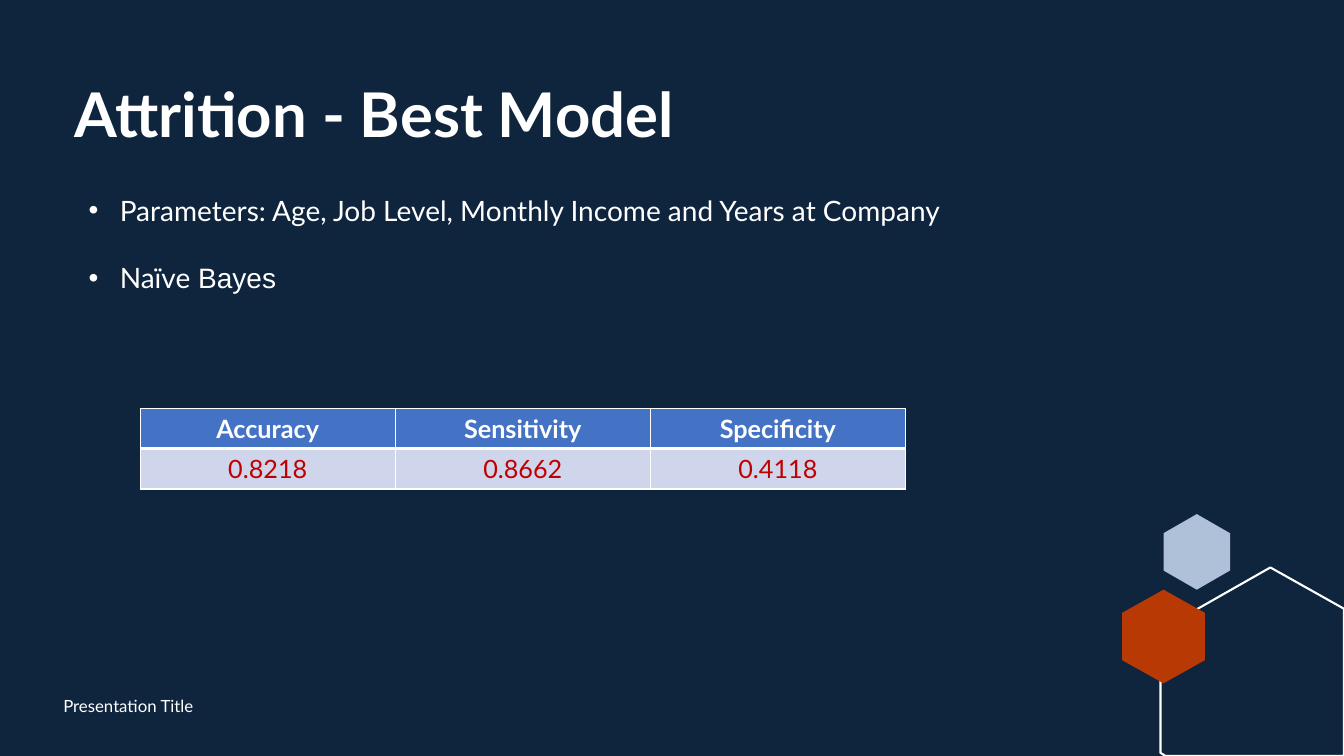
from lxml.etree import SubElement, fromstring
from pptx import Presentation
from pptx.dml.color import RGBColor
from pptx.enum.text import MSO_ANCHOR, PP_ALIGN
from pptx.oxml.ns import nsdecls, qn
from pptx.util import Pt

PX = 9144  # 100 px to the inch
NAVY = RGBColor(0x0F, 0x25, 0x3E)
WHITE = RGBColor(0xFF, 0xFF, 0xFF)
MIST = RGBColor(0xAE, 0xC1, 0xD8)
RUST = RGBColor(0xB8, 0x39, 0x03)
BLUE = RGBColor(0x44, 0x72, 0xC4)
PALE = RGBColor(0xCF, 0xD5, 0xEA)
RED = RGBColor(0xC0, 0x00, 0x00)

deck = Presentation()
deck.slide_width, deck.slide_height = 1333 * PX, 750 * PX
slide = deck.slides.add_slide(deck.slide_layouts[6])
slide.background.fill.solid()
slide.background.fill.fore_color.rgb = NAVY


def style(para, size, color=WHITE, bold=False):
    font = para.font
    font.name, font.size, font.bold = "Lato", Pt(size), bold
    font.color.rgb = color


def add_box(left, top, width, height):
    box = slide.shapes.add_textbox(left * PX, top * PX, width * PX, height * PX)
    box.text_frame.word_wrap = True
    return box.text_frame


# Hexagons, the large one cut off by the slide edge
hexes = [
    ([(1187, 510), (1220, 529), (1220, 566), (1187, 585), (1154, 566), (1154, 529)], MIST),
    ([(1260, 563), (1333, 604), (1333, 750), (1156, 750), (1151, 747), (1151, 625)], None),
    ([(1154, 585), (1195, 608), (1195, 655), (1154, 678), (1113, 655), (1113, 608)], RUST),
]
for points, color in hexes:
    pen = slide.shapes.build_freeform(*points[0], scale=PX)
    pen.add_line_segments(points[1:], close=True)
    shape = pen.convert_to_shape()
    shape.shadow.inherit = False
    if color:
        shape.fill.solid()
        shape.fill.fore_color.rgb = color
        shape.line.fill.background()
    else:
        shape.fill.background()
        shape.line.color.rgb = WHITE
        shape.line.width = Pt(1.5)

# Title
title = add_box(64, 79, 1191, 155).paragraphs[0]
title.text = "Attrition - Best Model"
title.line_spacing = 0.9
style(title, 44, bold=True)

# Score table
heads = ["Accuracy", "Sensitivity", "Specificity"]
scores = ["0.8218", "0.8662", "0.4118"]
frame = slide.shapes.add_table(2, 3, 139 * PX, 405 * PX, 759 * PX, 80 * PX)
table = frame.table
for row, (texts, fill, color) in enumerate([(heads, BLUE, WHITE), (scores, PALE, RED)]):
    for col, text in enumerate(texts):
        cell = table.cell(row, col)
        cell.fill.solid()
        cell.fill.fore_color.rgb = fill
        para = cell.text_frame.paragraphs[0]
        para.text = text
        para.alignment = PP_ALIGN.CENTER
        style(para, 18, color, bold=row == 0)
        # White borders, thick between header and scores
        for spot, side in enumerate("LRTB"):
            thick = (row, side) in [(0, "B"), (1, "T")]
            edge = fromstring(
                f'<a:ln{side} {nsdecls("a")} w="{Pt(3 if thick else 1)}"><a:solidFill>'
                f'<a:srgbClr val="{WHITE}"/></a:solidFill></a:ln{side}>')
            cell._tc.get_or_add_tcPr().insert(spot, edge)

# Footer
foot = add_box(53, 680, 450, 40)
foot.vertical_anchor = MSO_ANCHOR.MIDDLE
foot.text = "Presentation Title"
style(foot.paragraphs[0], 12)

# Bullets
body = add_box(78, 187, 1048, 111)
items = [
    [("Parameters: Age, Job Level, Monthly Income and Years at Company", "Lato")],
    [("Naïve", "Lato"), (" Bayes", "Arial")],
]
for num, runs in enumerate(items):
    para = body.add_paragraph() if num else body.paragraphs[0]
    props = para._p.get_or_add_pPr()
    props.set("marL", str(31 * PX))
    props.set("indent", str(-31 * PX))
    SubElement(props, qn("a:buFont"), typeface="Arial")
    SubElement(props, qn("a:buChar"), char="•")
    para.space_before = Pt(24 * num)
    style(para, 20)
    for text, face in runs:
        run = para.add_run()
        run.text = text
        run.font.name = face

deck.save("out.pptx")
